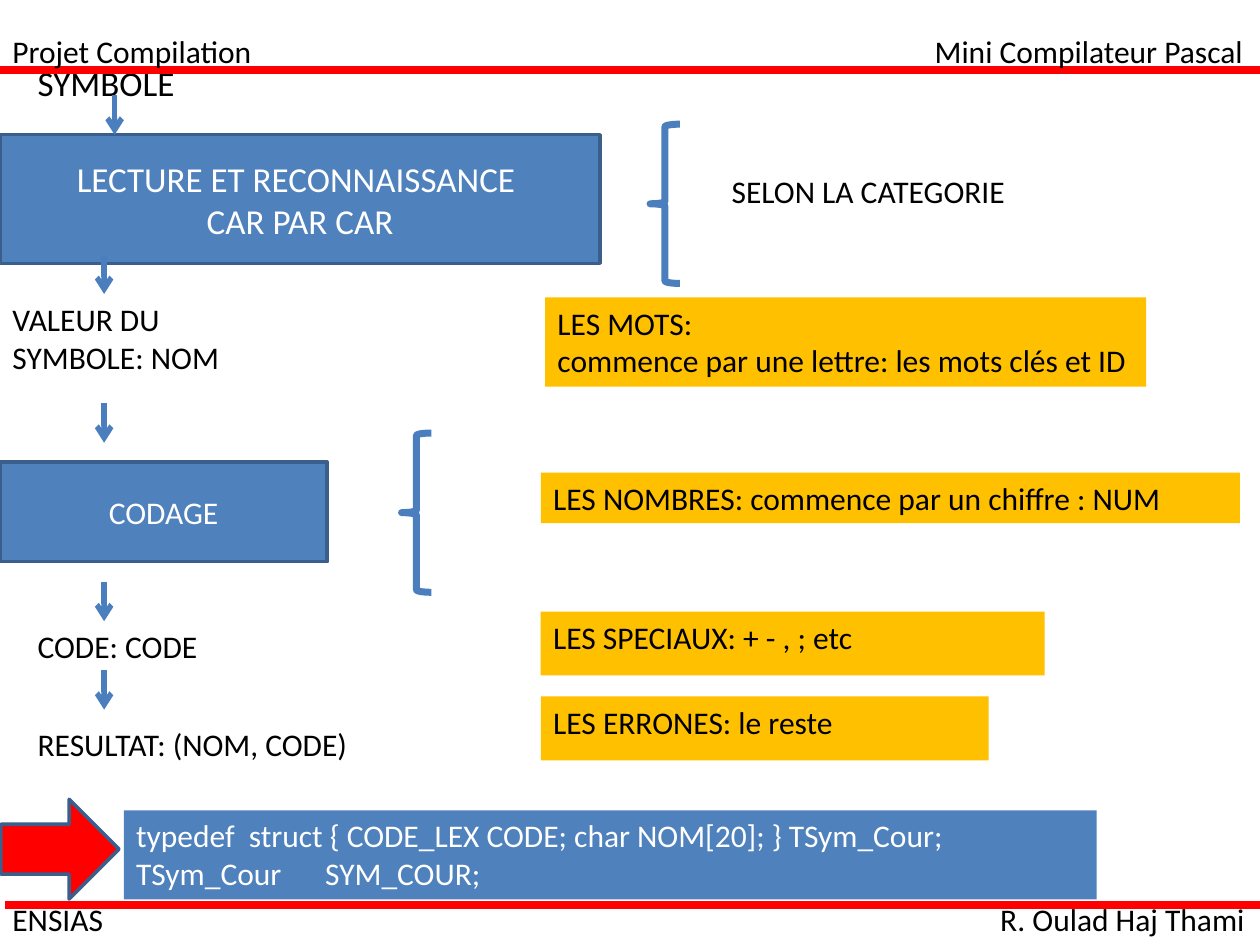
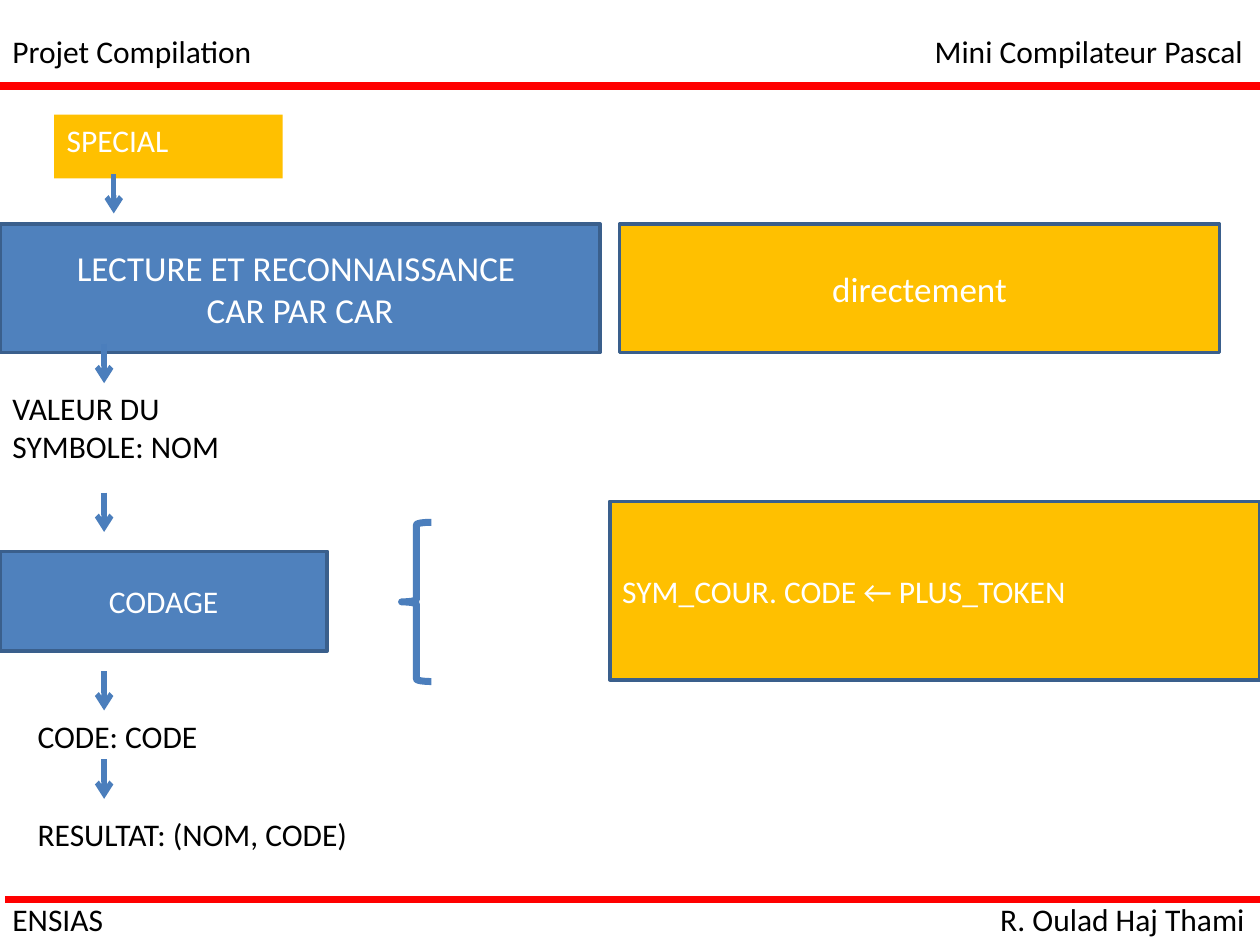
import pptx
import pptx.util
import pptx.dml.color
import pptx.enum.shapes
import pptx.enum.text
import pptx.oxml.ns
from dataclasses import dataclass
from lxml import etree

Pt = pptx.util.Pt
Kind = pptx.enum.shapes.MSO_SHAPE
Align = pptx.enum.text.PP_ALIGN
Anchor = pptx.enum.text.MSO_ANCHOR
qn = pptx.oxml.ns.qn


@dataclass(frozen=True)
class Theme:
    blue: str = "4F81BD"
    edge: str = "3A5F8C"
    link: str = "4B7EBC"
    gold: str = "FFC000"
    red: str = "FF0000"
    black: str = "000000"
    white: str = "FFFFFF"
    font: str = "Calibri"
    body: float = 18
    large: float = 20


THEME = Theme()
WIDTH, HEIGHT = 720, 540


def color(code):
    return pptx.dml.color.RGBColor.from_string(code)


def write(shape, text, ink, size, align, anchor, wrap=True):
    """Fill a text frame, one paragraph per line of text."""
    frame = shape.text_frame
    frame.word_wrap = wrap
    frame.vertical_anchor = anchor
    frame.text = text
    for para in frame.paragraphs:
        para.alignment = align
        for run in para.runs:
            run.font.name = THEME.font
            run.font.size = Pt(size)
            run.font.color.rgb = color(ink)


def label(slide, box, text, size=THEME.body):
    """Plain black text on one or more unwrapped lines."""
    shape = slide.shapes.add_textbox(*map(Pt, box))
    write(shape, text, THEME.black, size, Align.LEFT, Anchor.TOP, wrap=False)


def figure(slide, kind, box, fill=None, edge=None, weight=2):
    """Preset shape without shadow."""
    shape = slide.shapes.add_shape(kind, *map(Pt, box))
    shape.shadow.inherit = False
    if fill:
        shape.fill.solid()
        shape.fill.fore_color.rgb = color(fill)
    else:
        shape.fill.background()
    if edge:
        shape.line.color.rgb = color(edge)
        shape.line.width = Pt(weight)
    else:
        shape.line.fill.background()
    return shape


def panel(slide, box, text, fill, size=THEME.body, align=Align.CENTER):
    """Outlined box with white text in the middle."""
    shape = figure(slide, Kind.RECTANGLE, box, fill, THEME.edge)
    write(shape, text, THEME.white, size, align, Anchor.MIDDLE)


def card(slide, box, text, fill=THEME.gold, ink=THEME.black):
    """Box without outline, text at the top left."""
    shape = figure(slide, Kind.RECTANGLE, box, fill)
    write(shape, text, ink, THEME.body, Align.LEFT, Anchor.TOP)


def brace(slide, left, top):
    figure(slide, Kind.LEFT_BRACE, (left, top, 17, 91), None, THEME.link, 4)


def rule(slide, start, end, ink, weight):
    """Straight line without shadow; returns its line element."""
    line = slide.shapes.add_connector(
        pptx.enum.shapes.MSO_CONNECTOR.STRAIGHT, *map(Pt, start + end))
    line.line.color.rgb = color(ink)
    line.line.width = Pt(weight)
    props = line._element.spPr
    etree.SubElement(props, qn("a:effectLst"))
    return props.find(qn("a:ln"))


def arrow(slide, left, top):
    """Short arrow pointing down."""
    line = rule(slide, (left, top), (left, top + 22.5), THEME.link, 3)
    etree.SubElement(line, qn("a:tailEnd"), type="arrow")


def flow(slide, top):
    """Steps from reading to result, placed below the given top."""
    panel(slide, (0, top, 343, 73.5),
          "LECTURE ET RECONNAISSANCE \nCAR PAR CAR", THEME.blue, THEME.large)
    panel(slide, (0, top + 187, 187, 57), "CODAGE", THEME.blue)
    for drop in (68.5, 153.5, 255.5, 306):
        arrow(slide, 59.5, top + drop)
    label(slide, (0, top + 91, 153.5, 51), "VALEUR DU \nSYMBOLE: NOM")
    label(slide, (14.4, top + 278, 106.5, 29), "CODE: CODE")
    label(slide, (14.4, top + 334, 198, 29), "RESULTAT: (NOM, CODE)")
    brace(slide, 229.5, top + 170.5)


def frame(slide, upper, lower):
    """Red rules with the header and footer texts."""
    rule(slide, (0, upper), (WIDTH, upper), THEME.red, 4.5)
    rule(slide, (3, lower), (WIDTH + 3, lower), THEME.red, 4.5)
    rows = ((15, "Projet Compilation", 152.5, "Mini Compilateur Pascal", 193),
            (511, "ENSIAS", 67, "R. Oulad Haj Thami", 155.5))
    for top, left, wide, right, span in rows:
        label(slide, (0, top, wide, 29), left)
        label(slide, (WIDTH - span, top, span, 29), right)


def classes(slide):
    """Symbol categories and the resulting structure."""
    flow(slide, 77)
    label(slide, (14.4, 31.5, 111.5, 31.5), "SYMBOLE", THEME.large)
    arrow(slide, 65.5, 54.5)
    brace(slide, 371.5, 71)
    card(slide, (411, 94.5, 271, 36.5), "SELON LA CATEGORIE", None)

    # Categories
    card(slide, (311.5, 170, 343.5, 51),
         "LES MOTS: \ncommence par une lettre: les mots clés et ID")
    kinds = ((270, 399.5, 29, "LES NOMBRES: commence par un chiffre : NUM"),
             (349.5, 288, 36.5, "LES SPECIAUX: + - , ; etc "),
             (398, 256, 36.5, "LES ERRONES: le reste"))
    for top, wide, high, text in kinds:
        card(slide, (309, top, wide, high), text)

    # Structure
    mark = figure(slide, Kind.DOWN_ARROW, (5.75, 451.5, 57, 67.5),
                  THEME.red, THEME.edge)
    mark.rotation = 270
    card(slide, (70.75, 463, 556, 51),
         "typedef  struct { CODE_LEX CODE; char NOM[20]; } TSym_Cour;\n"
         "TSym_Cour\tSYM_COUR;", THEME.blue, THEME.white)
    frame(slide, 40, 517)


def special(slide):
    """Handling of a special symbol."""
    flow(slide, 128)
    card(slide, (31, 65.5, 130.5, 36.5), "SPECIAL ", ink=THEME.white)
    arrow(slide, 65, 99.5)
    panel(slide, (354, 128, 343, 73.5), "directement", THEME.gold, THEME.large)
    panel(slide, (348.5, 286.5, 371.5, 102),
          "SYM_COUR. CODE ← PLUS_TOKEN", THEME.gold, align=Align.LEFT)
    frame(slide, 49, 514)


def main():
    deck = pptx.Presentation()
    deck.slide_width, deck.slide_height = Pt(WIDTH), Pt(HEIGHT)
    blank = deck.slide_layouts[6]
    for build in (classes, special):
        build(deck.slides.add_slide(blank))
    deck.save("out.pptx")


main()
